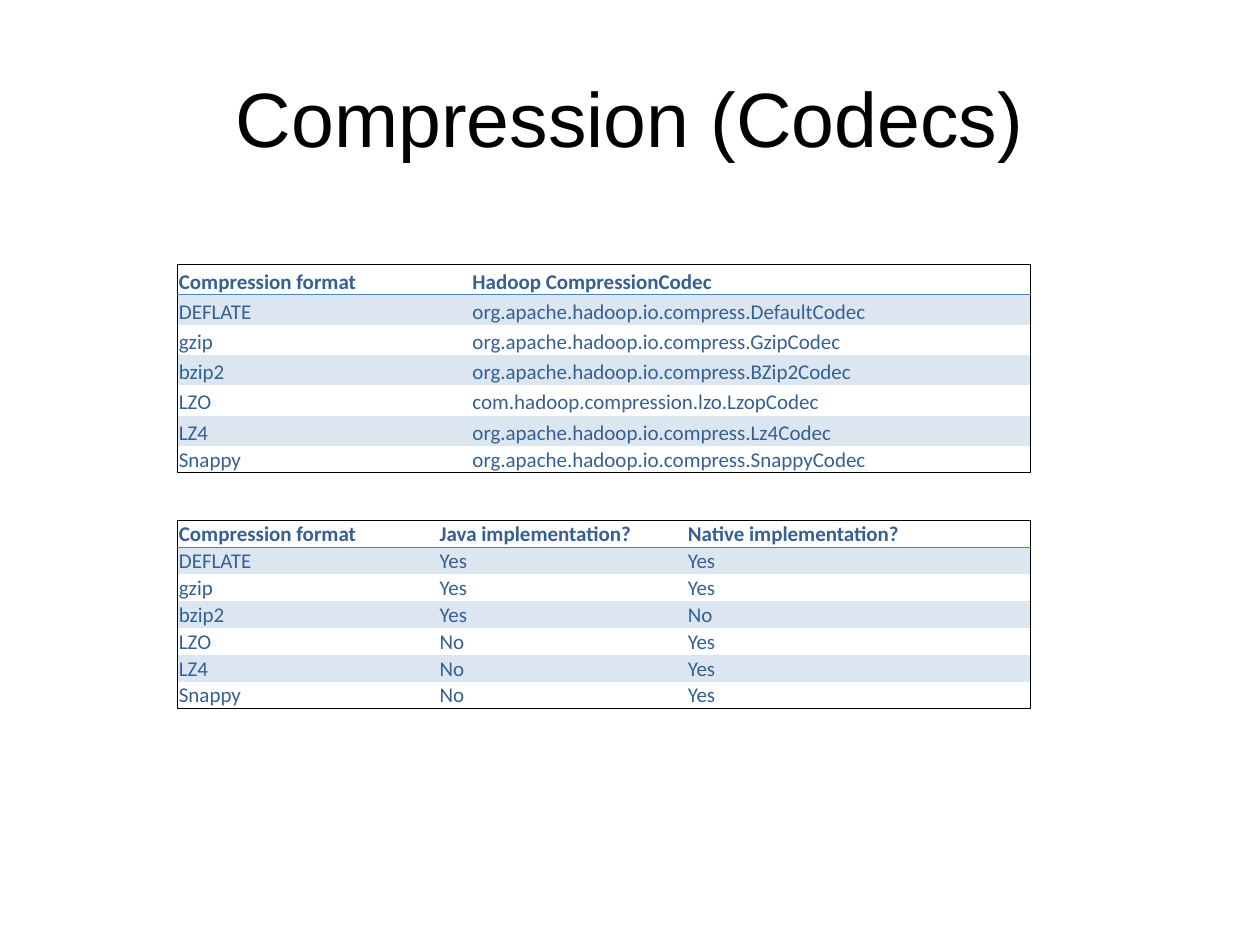
from dataclasses import dataclass

from lxml import etree
from pptx import Presentation
from pptx.dml.color import RGBColor
from pptx.enum.text import MSO_ANCHOR, PP_ALIGN
from pptx.oxml.ns import qn
from pptx.util import Inches, Pt

BOTTOM, MIDDLE = MSO_ANCHOR.BOTTOM, MSO_ANCHOR.MIDDLE
CENTER = PP_ALIGN.CENTER
TITLE_ONLY = 5


@dataclass(frozen=True)
class Theme:
    title_font: str = "Arial"
    title_size: int = 44
    title_color: str = "000000"
    table_font: str = "Calibri"
    table_size: int = 12
    table_color: str = "366092"
    band: str = "DCE6F1"
    frame: str = "000000"
    header_rule: str = "4F81BD"
    line_width: float = 0.5


theme = Theme()


def set_border(cell, edge, color):
    """Draw one cell edge (lnL, lnR, lnT, lnB), or hide it when color is None."""
    line = etree.SubElement(cell._tc.get_or_add_tcPr(), qn(f"a:{edge}"),
                            w=str(Pt(theme.line_width)))
    if color is None:
        etree.SubElement(line, qn("a:noFill"))
    else:
        fill = etree.SubElement(line, qn("a:solidFill"))
        etree.SubElement(fill, qn("a:srgbClr"), val=color)


def add_codec_table(page, top, widths, heights, rows):
    table = page.shapes.add_table(len(rows), len(widths), Inches(1.41), Inches(top),
                                  Inches(sum(widths)), Inches(sum(heights))).table
    table.first_row = table.horz_banding = False
    for column, width in zip(table.columns, widths):
        column.width = Inches(width)
    last_row, last_column = len(rows) - 1, len(widths) - 1

    for r, values in enumerate(rows):
        table.rows[r].height = Inches(heights[r])
        for c, value in enumerate(values):
            cell = table.cell(r, c)
            set_border(cell, "lnL", theme.frame if c == 0 else None)
            set_border(cell, "lnR", theme.frame if c == last_column else None)
            set_border(cell, "lnT", {0: theme.frame, 1: theme.header_rule}.get(r))
            set_border(cell, "lnB", {0: theme.header_rule, last_row: theme.frame}.get(r))
            if r % 2:
                cell.fill.solid()
                cell.fill.fore_color.rgb = RGBColor.from_string(theme.band)
            else:
                cell.fill.background()
            cell.margin_left = cell.margin_right = cell.margin_top = Inches(0.01)
            cell.margin_bottom = 0
            cell.vertical_anchor = BOTTOM
            cell.text_frame.text = value
            font = cell.text_frame.paragraphs[0].runs[0].font
            font.name, font.size = theme.table_font, Pt(theme.table_size)
            font.bold = r == 0
            font.color.rgb = RGBColor.from_string(theme.table_color)


deck = Presentation()
deck.slide_width, deck.slide_height = Inches(10), Inches(7.5)
page = deck.slides.add_slide(deck.slide_layouts[TITLE_ONLY])

title = page.shapes.title
title.left, title.top = Inches(0.5), Inches(0.3)
title.width, title.height = Inches(9), Inches(1.25)
title.text_frame.text = "Compression (Codecs)"
title.text_frame.vertical_anchor = MIDDLE
para = title.text_frame.paragraphs[0]
para.alignment = CENTER
font = para.runs[0].font
font.name, font.size = theme.title_font, Pt(theme.title_size)
font.color.rgb = RGBColor.from_string(theme.title_color)

codec_classes = [
    ("Compression format", "Hadoop CompressionCodec"),
    ("DEFLATE", "org.apache.hadoop.io.compress.DefaultCodec"),
    ("gzip", "org.apache.hadoop.io.compress.GzipCodec"),
    ("bzip2", "org.apache.hadoop.io.compress.BZip2Codec"),
    ("LZO", "com.hadoop.compression.lzo.LzopCodec"),
    ("LZ4", "org.apache.hadoop.io.compress.Lz4Codec"),
    ("Snappy", "org.apache.hadoop.io.compress.SnappyCodec"),
]
implementations = [
    ("Compression format", "Java implementation?", "Native implementation?"),
    ("DEFLATE", "Yes", "Yes"),
    ("gzip", "Yes", "Yes"),
    ("bzip2", "Yes", "No"),
    ("LZO", "No", "Yes"),
    ("LZ4", "No", "Yes"),
    ("Snappy", "No", "Yes"),
]
add_codec_table(page, 2.1, [2.33, 4.44], [0.24] * 6 + [0.21], codec_classes)
add_codec_table(page, 4.13, [2.07, 1.97, 2.73], [0.21] * 7, implementations)

deck.save("out.pptx")
